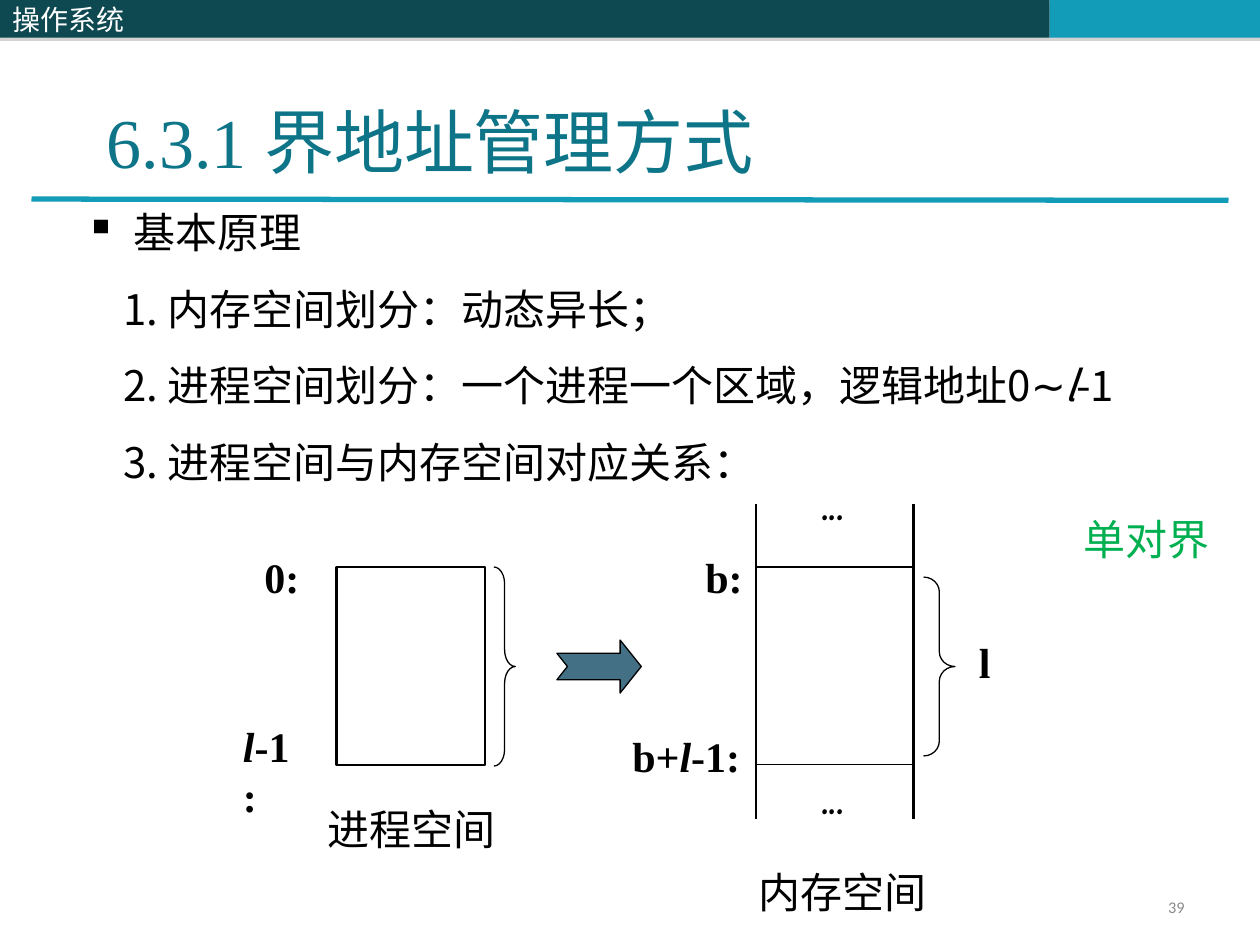
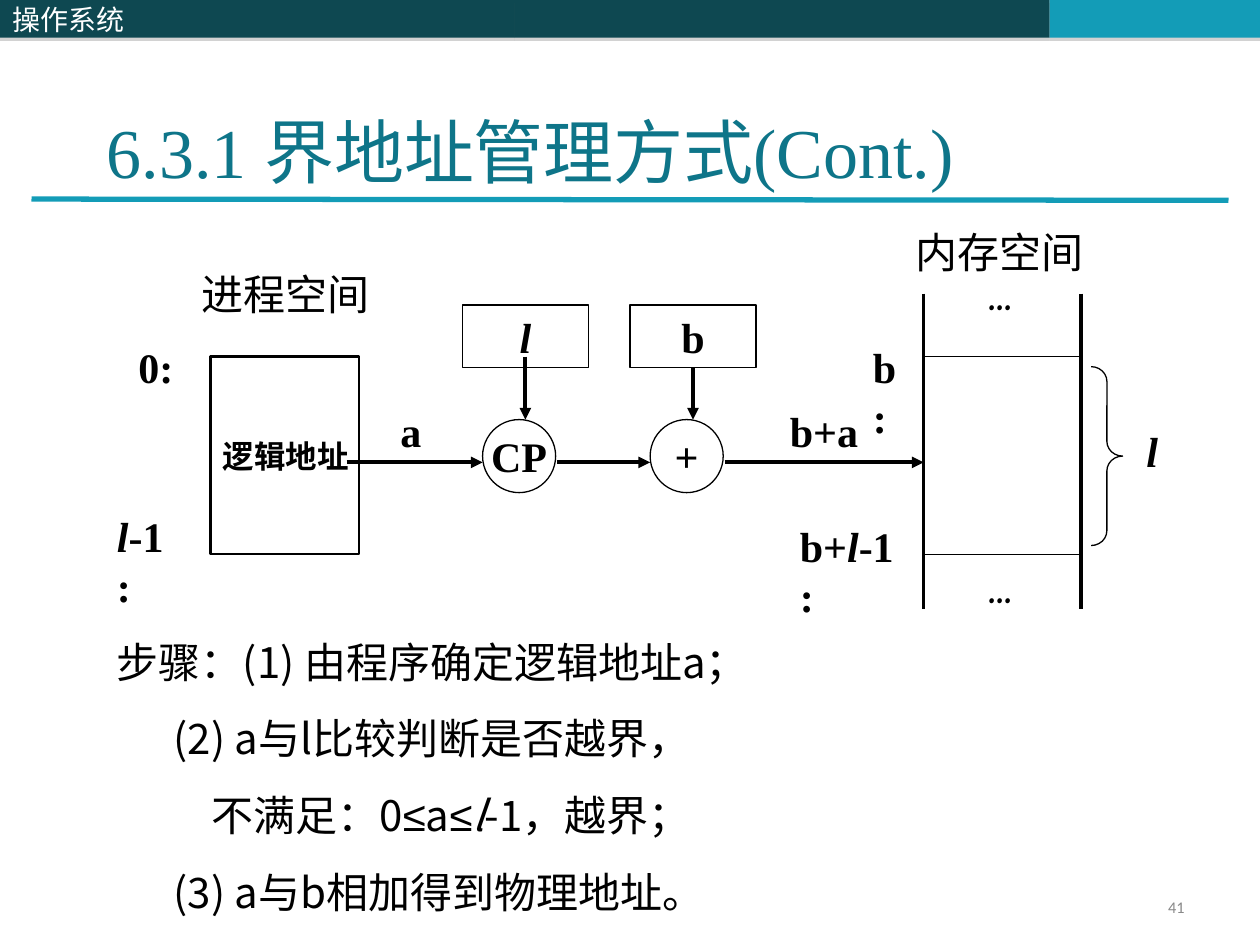
from dataclasses import dataclass
from typing import NamedTuple, Optional, Sequence, Union

from lxml.etree import SubElement
from pptx import Presentation
from pptx.dml.color import RGBColor
from pptx.enum.shapes import MSO_CONNECTOR as Link, MSO_SHAPE as Preset
from pptx.enum.text import MSO_ANCHOR as Anchor, PP_ALIGN as Align
from pptx.oxml.ns import qn
from pptx.util import Inches, Pt

COLORS = {
    "band": "0E4851",
    "accent": "139CB7",
    "title": "0E7589",
    "ink": "000000",
    "paper": "FFFFFF",
    "arrow": "437085",
    "note": "00B050",
    "number": "898989",
    "shadow": "808080",
}
SERIF = "Times New Roman"
HAN = "Noto Sans CJK SC"
SYMBOL = "Arial"
SPACE_WIDTH = 0.075


class Run(NamedTuple):
    text: str
    italic: bool = False
    font: Optional[str] = None


class Line(NamedTuple):
    runs: Sequence[Run]
    indent: float = 0
    bullet: bool = False


class Style(NamedTuple):
    font: str = SERIF
    size: float = 24
    color: str = "ink"
    bold: bool = False
    align: Align = Align.LEFT
    anchor: Anchor = Anchor.TOP
    spacing: Optional[float] = None


class Box(NamedTuple):
    left: float
    top: float
    width: float
    height: float

    def inches(self) -> list:
        return [Inches(value) for value in self]


Text = Union[str, Sequence[Line]]
LABEL = Style(bold=True)
CAPTION = Style(HAN)
CENTERED = Style(bold=True, align=Align.CENTER, anchor=Anchor.MIDDLE)
TITLE = Style(size=40, color="title", anchor=Anchor.BOTTOM)
HEADER = Style(HAN, 16, "paper", anchor=Anchor.MIDDLE)
NUMBER = Style("Calibri", 9.3, "number", align=Align.RIGHT, anchor=Anchor.MIDDLE, spacing=0.8)
DOTS = Style("Comic Neue", bold=True)

LAST_OFFSET = [Line([Run("l", True), Run("-1:")])]
LAST_ADDRESS = [Line([Run("b+"), Run("l", True), Run("-1:")])]
LENGTH = [Line([Run("l", True)])]

PRINCIPLES = [
    Line([Run("基本原理")], 0.38, True),
    Line([Run("1. 内存空间划分：动态异长；")], 4 * SPACE_WIDTH),
    Line([Run("2. 进程空间划分：一个进程一个区域，逻辑地址0"), Run("∼", font=SYMBOL),
          Run("l", True), Run("-1")], 4 * SPACE_WIDTH),
    Line([Run("3. 进程空间与内存空间对应关系：")], 4 * SPACE_WIDTH),
]
STEPS = [
    Line([Run("步骤：(1) 由程序确定逻辑地址a；")]),
    Line([Run("(2) a与l比较判断是否越界，")], 6 * SPACE_WIDTH),
    Line([Run("不满足：0"), Run("≤", font=SYMBOL), Run("a"), Run("≤", font=SYMBOL),
          Run("l", True), Run("-1，越界；")], 10 * SPACE_WIDTH),
    Line([Run("(3) a与b相加得到物理地址。")], 6 * SPACE_WIDTH),
]


@dataclass
class ProcessSpace:
    left: float
    top: float
    caption_shift: float


@dataclass
class MemorySpace:
    left: float
    top: float
    caption: tuple
    base_width: float
    last_width: float
    right_edge: float
    length: Text


def rgb(color: str) -> RGBColor:
    return RGBColor.from_string(COLORS[color])


def set_font(font, name: str) -> None:
    font.name = name
    props = font._element if hasattr(font, "_element") else font._rPr
    props.find(qn("a:latin")).addnext(SubElement(props, qn("a:ea"), typeface=HAN))


def write(shape, text: Text, style: Style, wrap: bool = True) -> None:
    frame = shape.text_frame
    frame.word_wrap = wrap
    frame.vertical_anchor = style.anchor
    lines = [Line([Run(text)])] if isinstance(text, str) else text
    for index, line in enumerate(lines):
        paragraph = frame.paragraphs[0] if index == 0 else frame.add_paragraph()
        props = paragraph._p.get_or_add_pPr()
        props.set("marL", str(Inches(line.indent)))
        props.set("indent", str(-Inches(line.indent) if line.bullet else 0))
        if line.bullet:
            SubElement(props, qn("a:buChar"), char="▪")
        paragraph.alignment = style.align
        if style.spacing:
            paragraph.line_spacing = style.spacing
        if index:
            paragraph.space_before = Pt(15)
        font = paragraph.font
        font.size = Pt(style.size)
        font.bold = style.bold
        font.color.rgb = rgb(style.color)
        set_font(font, style.font)
        for piece in line.runs:
            run = paragraph.add_run()
            run.text = piece.text
            if piece.italic:
                run.font.italic = True
            if piece.font:
                set_font(run.font, piece.font)


def add_text(slide, box: Box, text: Text, style: Style = LABEL) -> None:
    write(slide.shapes.add_textbox(*box.inches()), text, style)


def add_figure(slide, preset: Preset, box: Box, fill: Optional[str] = "paper",
               line: Optional[float] = 0.75, adjust: Sequence[float] = ()):
    shape = slide.shapes.add_shape(preset, *box.inches())
    shape.shadow.inherit = False
    if fill:
        shape.fill.solid()
        shape.fill.fore_color.rgb = rgb(fill)
    else:
        shape.fill.background()
    if line:
        shape.line.color.rgb = rgb("ink")
        shape.line.width = Pt(line)
    else:
        shape.line.fill.background()
    for index, value in enumerate(adjust):
        shape.adjustments[index] = value
    return shape


def add_line(slide, start: tuple, end: tuple, width: float, color: str = "ink",
             arrow: bool = False):
    ends = [Inches(value) for value in (*start, *end)]
    line = slide.shapes.add_connector(Link.STRAIGHT, *ends)
    line.line.color.rgb = rgb(color)
    line.line.width = Pt(width)
    if arrow:
        SubElement(line.line._get_or_add_ln(), qn("a:tailEnd"), type="triangle")
    SubElement(line._element.spPr, qn("a:effectLst"))
    return line


def add_band(slide, left: float, width: float, color: str):
    band = add_figure(slide, Preset.RECTANGLE, Box(left, 0, width, 0.3), color, None)
    effects = band._element.spPr.find(qn("a:effectLst"))
    shadow = SubElement(effects, qn("a:outerShdw"), dist=str(Pt(1.8)), dir="5400000")
    tint = SubElement(shadow, qn("a:srgbClr"), val=COLORS["shadow"])
    SubElement(tint, qn("a:alpha"), val="35000")
    return band


def add_page(deck, title: str, title_top: float, number: int):
    slide = deck.slides.add_slide(deck.slide_layouts[6])
    add_band(slide, 4.08, 4.25, "band")
    add_band(slide, 8.33, 1.67, "accent")
    add_line(slide, (0.25, 1.58), (9.75, 1.59), 3, "accent")
    write(add_band(slide, 0, 4.08, "band"), "操作系统", HEADER)
    add_text(slide, Box(7.17, 7.08, 2.33, 0.27), str(number), NUMBER)
    add_text(slide, Box(0.75, title_top, 8.5, 1.25), title, TITLE)
    return slide


def draw_process(slide, space: ProcessSpace) -> None:
    left, top = space.left, space.top
    add_figure(slide, Preset.RECTANGLE, Box(left, top, 1.18, 1.57), line=1.25)
    add_text(slide, Box(left - 0.67, top - 0.17, 0.5, 0.5), "0:")
    add_text(slide, Box(left - 0.84, top + 1.17, 0.67, 0.9), LAST_OFFSET)
    add_text(slide, Box(left - 0.17, top + space.caption_shift, 1.67, 0.5), "进程空间", CAPTION)


def draw_memory(slide, space: MemorySpace) -> None:
    left, top = space.left, space.top
    add_figure(slide, Preset.RECTANGLE, Box(left, top, 1.26, 1.57))
    for edge, width in ((left + 1.25, space.right_edge), (left, 1.25)):
        add_line(slide, (edge, top - 0.5), (edge, top + 2), width)
    for shift in (-0.75, 1.58):
        add_text(slide, Box(left + 0.42, top + shift, 0.67, 0.5), "...", DOTS)
    add_text(slide, Box(left - 0.5, top - 0.17, space.base_width, 0.5), "b:")
    add_text(slide, Box(left - 1.08, top + 1.25, space.last_width, 0.5), LAST_ADDRESS)
    add_figure(slide, Preset.RIGHT_BRACE, Box(left + 1.33, top + 0.08, 0.25, 1.42),
               None, adjust=(0.47, 0.5))
    add_text(slide, Box(left + 1.67, top + 0.5, 0.5, 0.5), space.length)
    shift_x, shift_y = space.caption
    add_text(slide, Box(left + shift_x, top + shift_y, 1.67, 0.5), "内存空间", CAPTION)


def build_principle(deck) -> None:
    slide = add_page(deck, "6.3.1 界地址管理方式", 0.25, 39)
    add_text(slide, Box(0.58, 1.59, 9.08, 2.73), PRINCIPLES, CAPTION)
    draw_process(slide, ProcessSpace(2.67, 4.5, 1.83))
    add_figure(slide, Preset.RIGHT_BRACE, Box(3.92, 4.5, 0.17, 1.58), None, adjust=(0.78, 0.5))
    add_figure(slide, Preset.NOTCHED_RIGHT_ARROW, Box(4.42, 5.08, 0.67, 0.42), "arrow",
               adjust=(0.5, 0.4))
    draw_memory(slide, MemorySpace(6, 4.5, (-0.08, 2.33), 0.58, 1.17, 1.25, "l"))
    add_text(slide, Box(8.5, 4.03, 2.67, 0.5), "单对界", Style("Noto Sans", color="note"))


def build_translation(deck) -> None:
    slide = add_page(deck, "6.3.1 界地址管理方式(Cont.)", 0.33, 41)
    draw_process(slide, ProcessSpace(1.67, 2.83, -0.75))
    draw_memory(slide, MemorySpace(7.33, 2.83, (-0.16, -1.08), 0.42, 1, 2.25, LENGTH))
    registers = []
    for left, register, operation in ((3.67, LENGTH, "CP"), (5, "b", "+")):
        box = add_figure(slide, Preset.RECTANGLE, Box(left, 2.42, 1, 0.5))
        write(box, register, CENTERED, False)
        registers.append(box)
        unit = add_figure(slide, Preset.OVAL, Box(left + 0.16, 3.33, 0.58, 0.58))
        write(unit, operation, CENTERED, False)
    add_text(slide, Box(1.67, 3.42, 1.33, 0.4), "逻辑地址", Style(size=18, bold=True))
    add_line(slide, (4.17, 2.83), (4.17, 3.33), 2.25, arrow=True)
    base_input = add_line(slide, (5.5, 2.92), (5.5, 3.33), 2.25, arrow=True)
    base_input.begin_connect(registers[1], 2)
    for start, end in ((2.75, 3.83), (4.42, 5.16), (5.75, 7.33)):
        add_line(slide, (start, 3.67), (end, 3.67), 2.25, arrow=True)
    add_text(slide, Box(3.08, 3.17, 0.42, 0.5), "a")
    add_text(slide, Box(6.17, 3.17, 0.83, 0.5), "b+a")
    add_text(slide, Box(0.83, 5, 8.75, 2.33), STEPS, CAPTION)


def main() -> None:
    deck = Presentation()
    deck.slide_width = Inches(10)
    deck.slide_height = Inches(7.5)
    build_principle(deck)
    build_translation(deck)
    deck.save("out.pptx")


if __name__ == "__main__":
    main()
